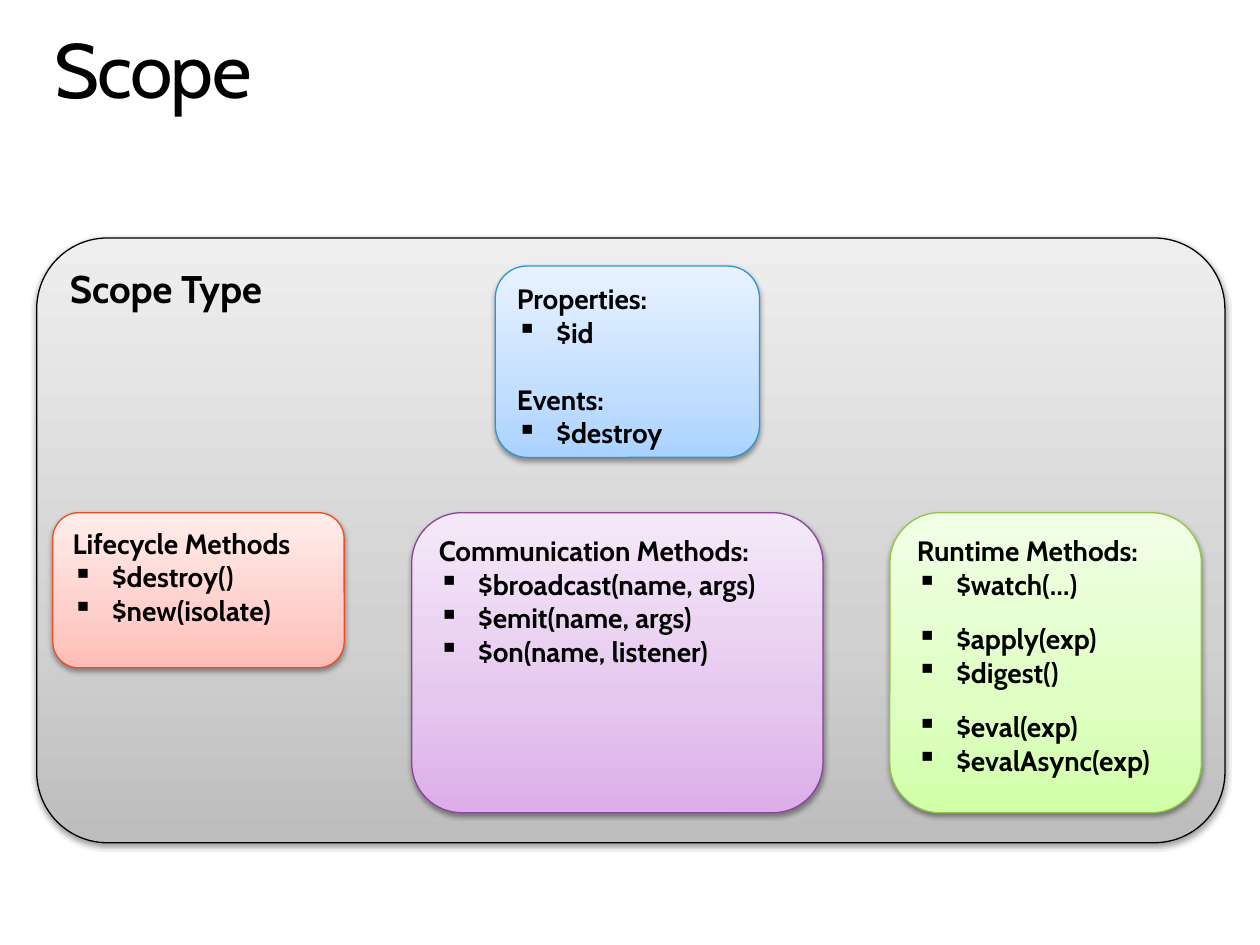
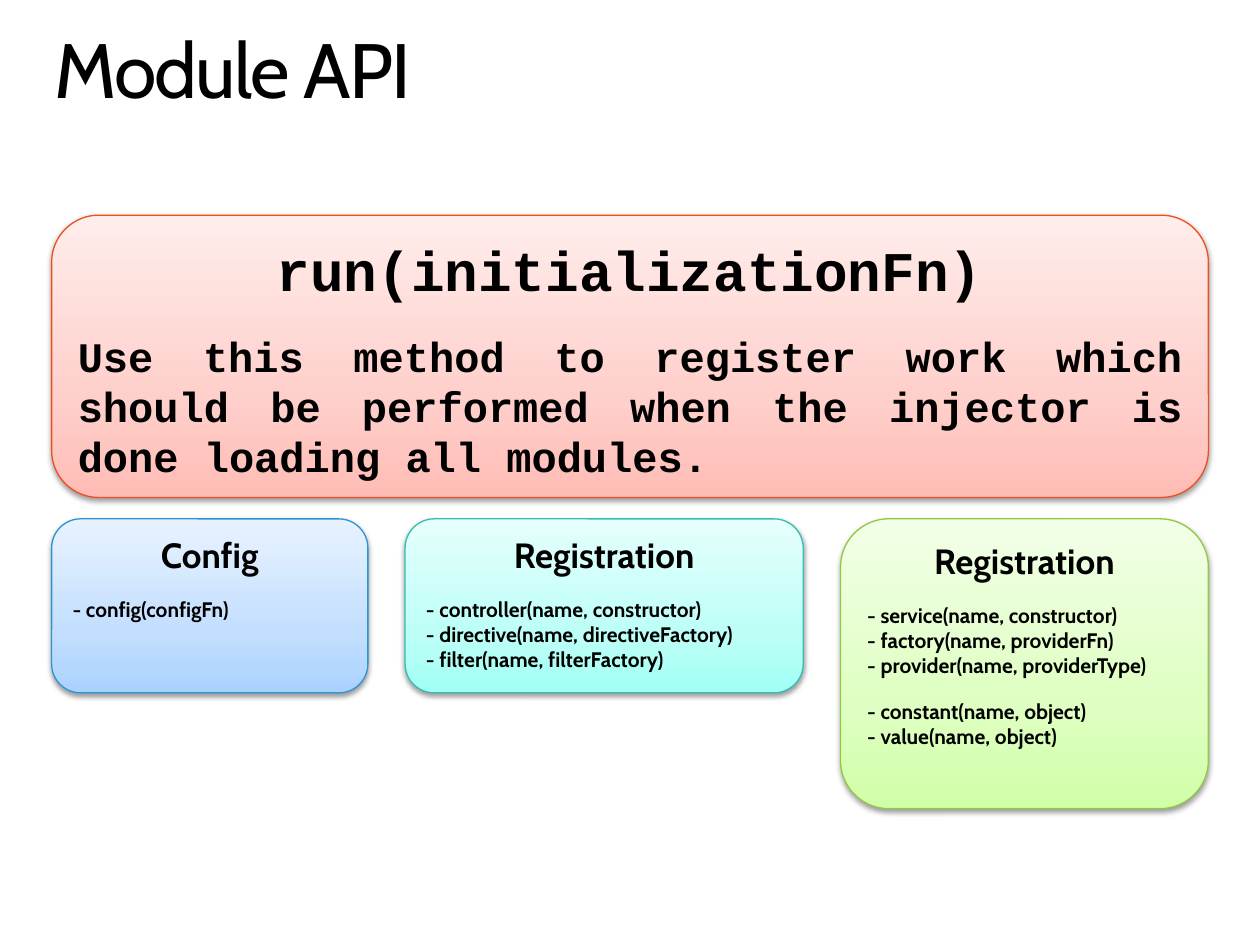
from lxml.etree import SubElement
from pptx import Presentation
from pptx.dml.color import RGBColor
from pptx.enum.shapes import MSO_SHAPE
from pptx.enum.text import MSO_ANCHOR, MSO_AUTO_SIZE, PP_ALIGN
from pptx.oxml.ns import qn
from pptx.util import Pt

INK = "000000"
# Each tint: bottom, middle and top of the gradient, then the outline
TINTS = {
    "gray": ("BDBDBD", "D1D1D1", "EEEEEE", INK),
    "blue": ("AAD2FF", "C3DFFF", "E8F2FF", "2E95D2"),
    "red": ("FFBCB5", "FFCFCB", "FFEDEB", "ED4F20"),
    "plum": ("DCADE9", "E5C6EE", "F5E9F9", "8C459B"),
    "green": ("D1FFA8", "DEFFC1", "F2FFE7", "91C844"),
    "teal": ("A2FFF4", "BDFFF7", "E6FFFC", "36BDB3"),
}
SANS, MONO = "Cabin", "Courier New"


class Deck:
    def __init__(self):
        self.prs = Presentation()
        self.prs.slide_width, self.prs.slide_height = Pt(720), Pt(540)
        self.slide = None

    def page(self, title):
        """Start a slide with its title."""
        self.slide = self.prs.slides.add_slide(self.prs.slide_layouts[5])
        head = self.slide.shapes.title
        head.left, head.top, head.width, head.height = map(Pt, (31, 18, 659, 48))
        frame = head.text_frame
        self.inset(frame, 0, 0)
        frame.auto_size = MSO_AUTO_SIZE.SHAPE_TO_FIT_TEXT
        para = self.line(frame, title, 44, bold=False)
        para.line_spacing = 0.9
        para._p.pPr.find(qn("a:defRPr")).set("spc", "-100")

    def inset(self, frame, side, edge):
        frame.margin_left = frame.margin_right = Pt(side)
        frame.margin_top = frame.margin_bottom = Pt(edge)
        frame.vertical_anchor = MSO_ANCHOR.TOP
        frame.word_wrap = True

    def box(self, tint, at, round_by=None):
        """Add a rounded box with gradient and shadow; return its text frame."""
        *stops, edge = TINTS[tint]
        box = self.slide.shapes.add_shape(MSO_SHAPE.ROUNDED_RECTANGLE, *map(Pt, at))
        if round_by:
            box.adjustments[0] = round_by
        box.line.color.rgb = RGBColor.from_string(edge)
        box.line.width = Pt(0.75)

        # Gradient, running upwards
        box.fill.gradient()
        box.fill.gradient_angle = 90
        props = box._element.spPr
        ramp = props.find(".//" + qn("a:gsLst"))
        ramp.clear()
        for place, tone in zip((0, 35, 100), stops):
            stop = SubElement(ramp, qn("a:gs"), pos=str(place * 1000))
            SubElement(stop, qn("a:srgbClr"), val=tone)

        # Soft shadow below
        box.shadow.inherit = False
        shade = SubElement(props.find(qn("a:effectLst")), qn("a:outerShdw"),
                           blurRad=str(Pt(3.1)), dist=str(Pt(1.6)),
                           dir="5400000", rotWithShape="0")
        tone = SubElement(shade, qn("a:srgbClr"), val=INK)
        SubElement(tone, qn("a:alpha"), val="38000")

        self.inset(box.text_frame, 7.2, 3.6)
        return box.text_frame

    def line(self, frame, text, size, gap=0, align=PP_ALIGN.LEFT,
             font=SANS, bold=True, mark=False):
        """Add one paragraph, with a square bullet if marked."""
        para = frame.paragraphs[0]
        if para.runs:
            para = frame.add_paragraph()
        para.add_run().text = text
        para.alignment = align
        para.space_before = Pt(gap)
        if mark:
            props = para._p.get_or_add_pPr()
            props.set("marL", str(Pt(22.5)))
            props.set("indent", str(-Pt(22.5)))
            SubElement(props, qn("a:buChar"), char="▪")
        para.font.name, para.font.size, para.font.bold = font, Pt(size), bold
        para.font.color.rgb = RGBColor.from_string(INK)
        return para

    def notes(self, tint, at, groups, gap=12):
        """Box of 16 pt lines; names that start with $ get a bullet."""
        frame = self.box(tint, at)
        for rank, group in enumerate(groups):
            for row, text in enumerate(group):
                self.line(frame, text, 16, gap if rank and not row else 0,
                          mark=text.startswith("$"))

    def card(self, tint, at, head, groups):
        """Box with a centred heading above groups of calls."""
        frame = self.box(tint, at)
        self.line(frame, head, 20, align=PP_ALIGN.CENTER)
        for group in groups:
            for row, call in enumerate(group):
                self.line(frame, "- " + call, 12, 0 if row else 12)


def scope(deck):
    deck.page("Scope")
    panel = deck.box("gray", (21, 136, 679, 345.6), 0.117)
    deck.line(panel, "Scope Type", 22)
    deck.notes("blue", (283, 152, 151, 109.4),
               [["Properties:", "$id"], ["Events:", "$destroy"]], gap=19.2)

    # Row of method boxes
    top = 293
    deck.notes("red", (30.2, top, 166.5, 88.6),
               [["Lifecycle Methods", "$destroy()", "$new(isolate)"]])
    deck.notes("plum", (235.3, top, 235, 171.4),
               [["Communication Methods:", "$broadcast(name, args)",
                 "$emit(name, args)", "$on(name, listener)"]])
    deck.notes("green", (508.5, top, 178, 171.4),
               [["Runtime Methods:", "$watch(…)"],
                ["$apply(exp)", "$digest()"],
                ["$eval(exp)", "$evalAsync(exp)"]])


def module(deck):
    deck.page("Module API")
    left, gap = 29.5, 21.3

    # Row of cards
    cards = [
        ("blue", 180.7, 99.4, "Config", [["config(configFn)"]]),
        ("teal", 227.5, 99.4, "Registration",
         [["controller(name, constructor)", "directive(name, directiveFactory)",
           "filter(name, filterFactory)"]]),
        ("green", 210.2, 165.6, "Registration",
         [["service(name, constructor)", "factory(name, providerFn)",
           "provider(name, providerType)"],
          ["constant(name, object)", "value(name, object)"]]),
    ]
    x = left
    for tint, wide, high, head, groups in cards:
        deck.card(tint, (x, 296.5, wide, high), head, groups)
        x += wide + gap

    # Method in focus
    frame = deck.box("red", (left, 123, 661, 161.3))
    deck.line(frame, "run(initializationFn)", 32, align=PP_ALIGN.CENTER, font=MONO)
    deck.line(frame, "Use this method to register work which should be performed "
              "when the injector is done loading all modules.",
              24, 15.9, PP_ALIGN.JUSTIFY, MONO)


def main():
    deck = Deck()
    scope(deck)
    module(deck)
    deck.prs.save("out.pptx")


if __name__ == "__main__":
    main()
